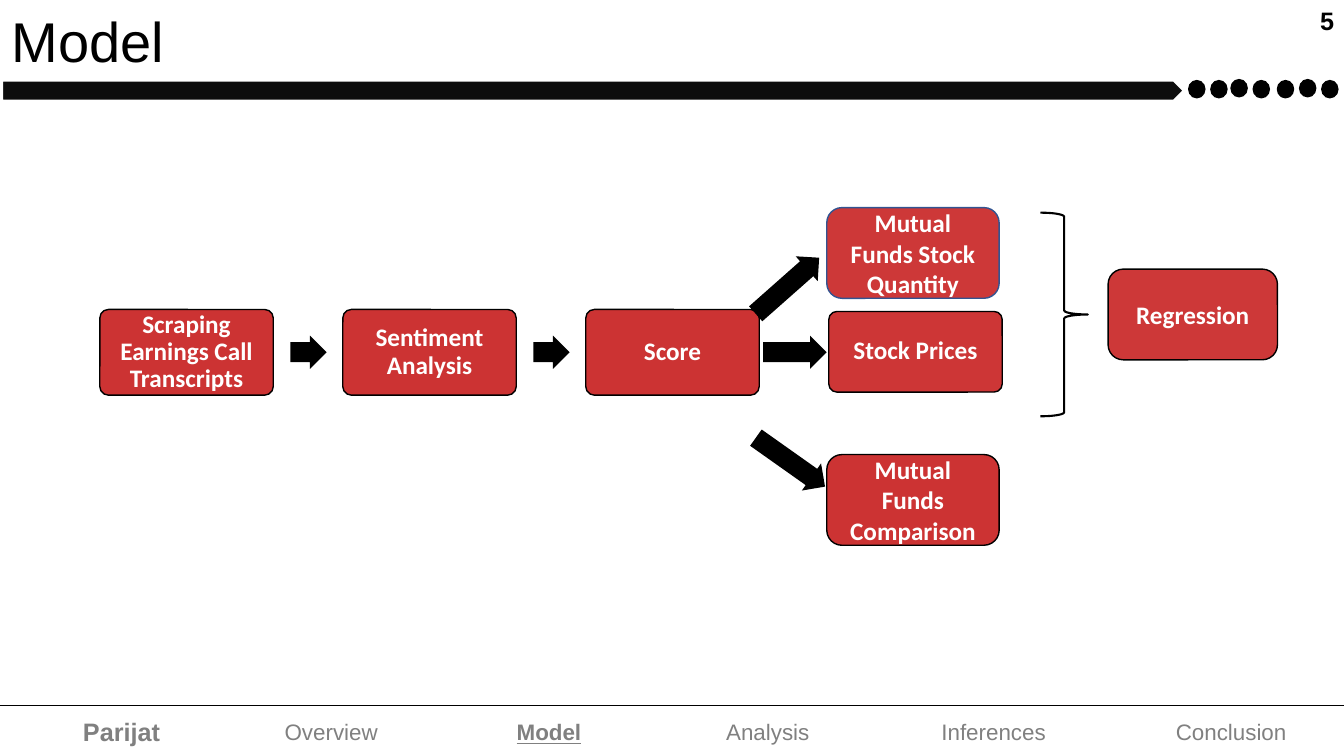
from lxml import etree
from pptx import Presentation
from pptx.dml.color import RGBColor
from pptx.enum.shapes import MSO_CONNECTOR, MSO_SHAPE as Shape
from pptx.enum.text import MSO_ANCHOR as Anchor, PP_ALIGN as Align
from pptx.oxml.ns import qn
from pptx.util import Inches, Pt

BLACK = RGBColor(0x00, 0x00, 0x00)
BAR_BLACK = RGBColor(0x0D, 0x0D, 0x0D)
WHITE = RGBColor(0xFF, 0xFF, 0xFF)
GRAY = RGBColor(0x80, 0x80, 0x80)
RED = RGBColor(0xC0, 0x00, 0x00)
BLUE = RGBColor(0x32, 0x54, 0x91)

# Flow boxes: text, left, top, height, outline, opacity
FLOW_BOXES = [
    ("Scraping Earnings Call Transcripts", 0.99, 3.07, 0.85, BLACK, 80),
    ("Sentiment Analysis", 3.4, 3.07, 0.85, BLACK, 80),
    ("Score", 5.81, 3.07, 0.85, BLACK, 80),
    ("Stock Prices", 8.22, 3.09, 0.8, BLACK, 79),
]
# Outcome boxes: text, left, top, width, outline, opacity
OUTCOME_BOXES = [
    ("Mutual Funds Stock Quantity", 8.2, 2.06, 1.71, BLUE, 78),
    ("Mutual Funds Comparison", 8.2, 4.51, 1.71, BLACK, 80),
    ("Regression", 10.99, 2.67, 1.68, BLACK, 78),
]
# Arrows: left, top, width, rotation
ARROWS = [
    (2.88, 3.33, 0.36, 0),
    (5.29, 3.33, 0.36, 0),
    (7.57, 3.33, 0.63, 0),
    (7.42, 4.42, 0.84, 35.3),
    (7.39, 2.67, 0.84, 318.5),
]
DOTS = [(11.79, 0.8), (12.01, 0.8), (12.21, 0.79), (12.43, 0.8),
        (12.67, 0.8), (12.89, 0.79), (13.11, 0.8)]
# Footer sections: text, left, width
SECTIONS = [
    ("Parijat", 0.02, 2.37),
    ("Overview", 2.17, 2.23),
    ("Model", 4.33, 2.23),
    ("Analysis", 6.5, 2.23),
    ("Inferences", 8.67, 2.37),
    ("Conclusion", 10.99, 2.44),
]
CURRENT_SECTION = "Model"


def write_text(shape, text, size, font_name, color, bold=False,
               align=Align.LEFT, anchor=Anchor.TOP):
    frame = shape.text_frame
    frame.word_wrap = True
    frame.vertical_anchor = anchor
    frame.text = text
    paragraph = frame.paragraphs[0]
    paragraph.alignment = align
    font = paragraph.runs[0].font
    font.size = Pt(size)
    font.name = font_name
    font.bold = bold
    font.color.rgb = color
    return paragraph


def add_label(slide, text, left, top, width, height, size, color, **style):
    box = slide.shapes.add_textbox(Inches(left), Inches(top),
                                   Inches(width), Inches(height))
    return write_text(box, text, size, "Arial", color, **style)


def add_figure(slide, kind, left, top, width, height,
               fill=None, line=None, line_width=1.0):
    shape = slide.shapes.add_shape(kind, Inches(left), Inches(top),
                                   Inches(width), Inches(height))
    shape.shadow.inherit = False
    if fill is None:
        shape.fill.background()
    else:
        shape.fill.solid()
        shape.fill.fore_color.rgb = fill
    if line is None:
        shape.line.fill.background()
    else:
        shape.line.color.rgb = line
        shape.line.width = Pt(line_width)
    return shape


def add_red_box(slide, text, left, top, width, height, outline, opacity):
    box = add_figure(slide, Shape.ROUNDED_RECTANGLE, left, top, width, height,
                     RED, outline)
    color = box._element.spPr.find(qn("a:solidFill"))[0]
    etree.SubElement(color, qn("a:alpha")).set("val", str(opacity * 1000))
    write_text(box, text, 18, "Calibri", WHITE, bold=True,
               align=Align.CENTER, anchor=Anchor.MIDDLE)
    return box


def add_flow_box(slide, text, left, top, height, outline, opacity):
    box = add_red_box(slide, text, left, top, 1.72, height, outline, opacity)
    box.adjustments[0] = 0.1
    frame = box.text_frame
    frame.margin_left = frame.margin_right = Inches(0.07)
    frame.margin_top = frame.margin_bottom = Inches(0.07)
    frame.paragraphs[0].line_spacing = 0.9


def add_arrow(slide, left, top, width, rotation):
    arrow = add_figure(slide, Shape.RIGHT_ARROW, left, top, width, 0.33, BLACK)
    arrow.adjustments[0] = 0.6
    arrow.adjustments[1] = 0.5
    arrow.rotation = rotation


def add_header(slide):
    add_label(slide, "Model", 0.02, 0.02, 13.31, 0.77, 40, BLACK)
    add_label(slide, "5", 12.94, 0, 0.39, 0.4, 18, BLACK,
              bold=True, align=Align.RIGHT)
    add_figure(slide, Shape.PENTAGON, 0.02, 0.8, 11.72, 0.2,
               BAR_BLACK, WHITE, 1.5)
    for left, top in DOTS:
        add_figure(slide, Shape.OVAL, left, top, 0.16, 0.17, BLACK, BLACK)


def add_footer(slide):
    rule = slide.shapes.add_connector(MSO_CONNECTOR.STRAIGHT, Inches(0),
                                      Inches(7), Inches(13.33), Inches(7))
    rule.line.color.rgb = BLACK
    rule.line.width = Pt(0.5)
    etree.SubElement(rule._element.spPr, qn("a:effectLst"))
    for index, (text, left, width) in enumerate(SECTIONS):
        is_author = index == 0
        is_current = text == CURRENT_SECTION
        paragraph = add_label(slide, text, left, 6.86, width, 0.8,
                              18 if is_author else 16, GRAY,
                              bold=is_author or is_current,
                              align=Align.CENTER, anchor=Anchor.MIDDLE)
        paragraph.runs[0].font.underline = is_current


def main():
    presentation = Presentation()
    presentation.slide_width = Inches(13.33)
    presentation.slide_height = Inches(7.5)
    slide = presentation.slides.add_slide(presentation.slide_layouts[6])

    add_header(slide)
    add_footer(slide)

    # Model diagram
    for flow_box in FLOW_BOXES:
        add_flow_box(slide, *flow_box)
    for text, left, top, width, outline, opacity in OUTCOME_BOXES:
        add_red_box(slide, text, left, top, width, 0.9, outline, opacity)
    for arrow in ARROWS:
        add_arrow(slide, *arrow)
    add_figure(slide, Shape.RIGHT_BRACE, 10.32, 2.11, 0.47, 2.02,
               line=BLACK, line_width=1.5)

    presentation.save("out.pptx")


if __name__ == "__main__":
    main()
